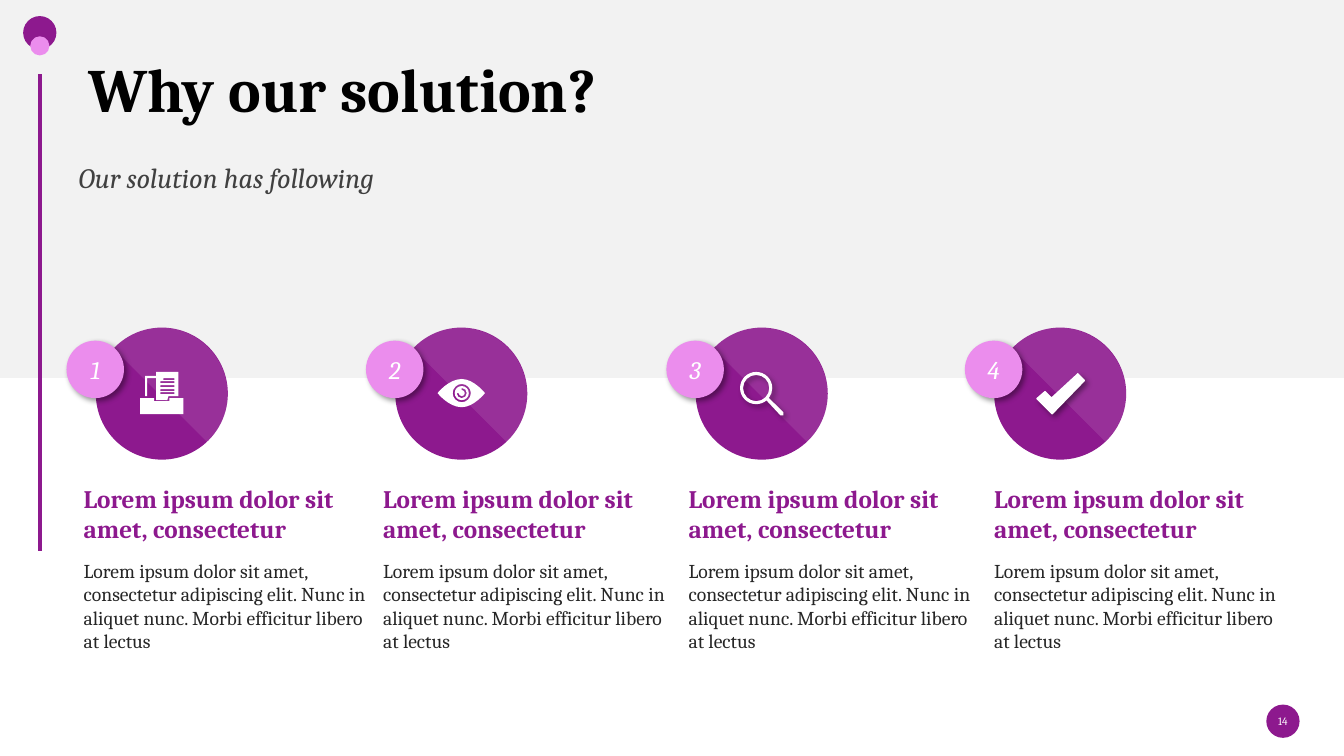
from math import cos, floor, radians, sin, tan

from pptx import Presentation
from pptx.dml.color import RGBColor
from pptx.enum.shapes import MSO_SHAPE as SHAPE
from pptx.enum.text import MSO_ANCHOR as ANCHOR, MSO_AUTO_SIZE as AUTO_SIZE, PP_ALIGN as ALIGN
from pptx.oxml import parse_xml
from pptx.oxml.ns import nsdecls, qn
from pptx.util import Inches, Pt

FONT = "Cambria"
COLORS = {
    "purple": "8D198E", "pink": "EB8DED", "band": "F2F2F2", "white": "FFFFFF",
    "title": "000000", "subtitle": "404040", "body": "262626",
}
HEADING = "Lorem ipsum dolor sit amet, consectetur"
BODY = ("Lorem ipsum dolor sit amet, consectetur adipiscing elit. "
        "Nunc in aliquet nunc. Morbi efficitur libero at lectus")
DISC = 1.31
DISC_LEFTS = [0.95, 3.92, 6.9, 9.86]
TEXT_LEFTS = [0.83, 3.8, 6.83, 9.86]


# Outlines in inches: a contour lists steps, one point for a line, three for a curve
def arc(center, radius, start, end):
    def spot(angle, pull=0):
        a = radians(angle)
        return (center[0] + radius * (cos(a) - pull * sin(a)),
                center[1] + radius * (sin(a) + pull * cos(a)))

    low, high = sorted((start, end))
    quarters = range((floor(low / 90) + 1) * 90, high, 90)
    stops = sorted([low, *quarters, high], reverse=end < start)
    steps = [[spot(start)]]
    for a, b in zip(stops, stops[1:]):
        pull = 4 / 3 * tan(radians(b - a) / 4)
        steps.append([spot(a, pull), spot(b, -pull), spot(b)])
    return steps


def lines(*points):
    return [[point] for point in points]


def bar(left, top, right, bottom):
    return lines((left, top), (right, top), (right, bottom), (left, bottom))


# Icon outlines relative to their disc; each shape is a list of contours
def document_icon():
    sheets = lines((0.51, 0.5), (0.6, 0.5), (0.6, 0.72), (0.71, 0.72), (0.72, 0.68), (0.82, 0.68),
                   (0.82, 0.44), (0.6, 0.44), (0.6, 0.48), (0.49, 0.48), (0.49, 0.68), (0.51, 0.68))
    tops = [0.5, 0.53, 0.57, 0.61, 0.64]
    rows = [bar(0.67 if top == tops[0] else 0.64, top, 0.78, top + 0.02) for top in tops]
    tray = lines((0.44, 0.7), (0.58, 0.7), (0.58, 0.73), (0.73, 0.73),
                 (0.73, 0.7), (0.87, 0.7), (0.87, 0.86), (0.44, 0.86))
    return [[sheets, *rows], [tray]]


def eye_icon():
    center = (0.66, 0.65)
    left, right, top, bottom = (0.42, 0.65), (0.89, 0.65), (0.66, 0.51), (0.66, 0.79)
    lids = [[left], [left, (0.53, 0.79), bottom], [(0.78, 0.79), right, right],
            [right, (0.78, 0.51), top], [(0.53, 0.51), left, left]]
    swirl = arc(center, 0.05, -90, 180) + arc(center, 0.03, 180, -90)
    return [[arc(center, 0.07, 0, 360), swirl], [lids, arc(center, 0.09, 0, 360)]]


def magnifier_icon():
    center = (0.6, 0.6)
    handle = lines((0.87, 0.84), (0.87, 0.87), (0.84, 0.87))
    return [[arc(center, 0.16, 50, 398) + handle, arc(center, 0.13, 0, 360)]]


def check_icon():
    return [[lines((0.9, 0.52), (0.83, 0.45), (0.57, 0.69), (0.51, 0.63), (0.5, 0.63),
                   (0.42, 0.7), (0.42, 0.71), (0.57, 0.86), (0.58, 0.86), (0.9, 0.53))]]


# Drawing helpers
def paint(shape, color, shadow=False, alpha=None):
    shape.fill.solid()
    shape.fill.fore_color.rgb = RGBColor.from_string(COLORS[color])
    shape.line.fill.background()
    shape.shadow.inherit = False
    properties = shape._element.spPr
    if alpha:
        properties.find(".//" + qn("a:srgbClr")).append(
            parse_xml(f'<a:alpha {nsdecls("a")} val="{alpha * 1000}"/>'))
    if shadow:
        properties.find(qn("a:effectLst")).append(parse_xml(
            f'<a:outerShdw {nsdecls("a")} blurRad="{Pt(4)}" dist="{Pt(3)}" dir="2700000" '
            'algn="tl" rotWithShape="0"><a:srgbClr val="000000"><a:alpha val="40000"/>'
            '</a:srgbClr></a:outerShdw>'))
    return shape


def add_preset(page, kind, box, color, shadow=False):
    shape = page.shapes.add_shape(kind, *map(Inches, box))
    if kind == SHAPE.ROUNDED_RECTANGLE:
        shape.adjustments[0] = 0.5
    return paint(shape, color, shadow)


def add_outline(page, contours, left, top, color, **effects):
    builder = None
    for contour in contours:
        points = [(Inches(left + x), Inches(top + y)) for step in contour for x, y in step]
        if builder is None:
            builder = page.shapes.build_freeform(*points[0])
        else:
            builder.move_to(*points[0])
        builder.add_line_segments(points[1:], close=True)
    shape = builder.convert_to_shape()

    # Join each curve's three points into one Bezier segment
    segments = iter(list(shape._element.spPr.iter(qn("a:lnTo"))))
    for step in (step for contour in contours for step in contour[1:]):
        first, *others = [next(segments) for _ in step]
        if others:
            first.tag = qn("a:cubicBezTo")
            for other in others:
                first.append(other[0])
                other.getparent().remove(other)
    paint(shape, color, **effects)


def write(shape, text, size, color, bold=False, italic=False,
          align=ALIGN.LEFT, anchor=ANCHOR.TOP, inset=0):
    frame = shape.text_frame
    frame.word_wrap = True
    frame.auto_size = AUTO_SIZE.NONE
    frame.vertical_anchor = anchor
    frame.margin_left = frame.margin_right = Inches(inset)
    frame.margin_top = frame.margin_bottom = Inches(inset / 2)
    para = frame.paragraphs[0]
    para.alignment = align
    span = para.add_run()
    span.text = text
    font = span.font
    font.name, font.size, font.bold, font.italic = FONT, Pt(size), bold, italic
    font.color.rgb = RGBColor.from_string(COLORS[color])
    return para


def add_text(page, box, text, size, color, **look):
    write(page.shapes.add_textbox(*map(Inches, box)), text, size, color, **look)


# Slide regions
def add_header(page, left, top, width):
    title = page.shapes.title
    title.left, title.top, title.width, title.height = map(Inches, (left, top, width, 1.03))
    para = write(title, "Why our solution?", 44, "title", bold=True,
                 anchor=ANCHOR.MIDDLE, inset=0.1)
    para.line_spacing = 0.9
    add_text(page, (left, top + 1.19, 7.29, 0.34), "Our solution has following", 20,
             "subtitle", italic=True)


def add_rail(page, left, top):
    add_preset(page, SHAPE.ROUNDED_RECTANGLE, (left, top, 0.33, 0.33), "purple")
    add_outline(page, [bar(0.15, 0.57, 0.19, 5.31)], left, top, "purple")
    add_preset(page, SHAPE.ROUNDED_RECTANGLE, (left + 0.07, top + 0.2, 0.19, 0.19), "pink")


def add_badge(page, left, top, number, icon, icon_shadow):
    add_preset(page, SHAPE.OVAL, (left, top, DISC, DISC), "purple")
    add_outline(page, [arc((0.64, 0.67), 0.67, -135, 45)], left, top, "white", alpha=10)
    tag = add_preset(page, SHAPE.OVAL, (left - 0.29, top + 0.13, 0.57, 0.57), "pink", shadow=True)
    write(tag, str(number), 18, "white", italic=True, align=ALIGN.CENTER, anchor=ANCHOR.MIDDLE)
    for contours in icon:
        add_outline(page, contours, left, top, "white", shadow=icon_shadow)


def add_reason(page, left, top):
    add_text(page, (left, top, 2.86, 0.61), HEADING, 18, "purple", bold=True)
    add_text(page, (left, top + 0.75, 2.86, 0.94), BODY, 14, "body")


def add_page_number(page, left, top, number):
    add_preset(page, SHAPE.ROUNDED_RECTANGLE, (left, top, 0.33, 0.33), "purple")
    add_text(page, (left, top - 0.04, 0.33, 0.4), str(number), 8, "white",
             align=ALIGN.CENTER, anchor=ANCHOR.MIDDLE)


def main():
    deck = Presentation()
    deck.slide_width, deck.slide_height = Inches(13.33), Inches(7.5)
    page = deck.slides.add_slide(deck.slide_layouts[5])

    # Grey band behind the title
    band = add_preset(page, SHAPE.RECTANGLE, (0, 0, 13.33, 3.75), "band")
    page.shapes._spTree.insert(2, band._element)

    add_header(page, 0.78, 0.4, 12.06)
    add_rail(page, 0.23, 0.16)

    # Four numbered reasons
    icons = [(document_icon(), False), (eye_icon(), False),
             (magnifier_icon(), True), (check_icon(), True)]
    for index, (icon, icon_shadow) in enumerate(icons):
        add_badge(page, DISC_LEFTS[index], 3.25, index + 1, icon, icon_shadow)
        add_reason(page, TEXT_LEFTS[index], 4.79)

    add_page_number(page, 12.56, 6.99, 14)
    deck.save("out.pptx")


if __name__ == "__main__":
    main()
